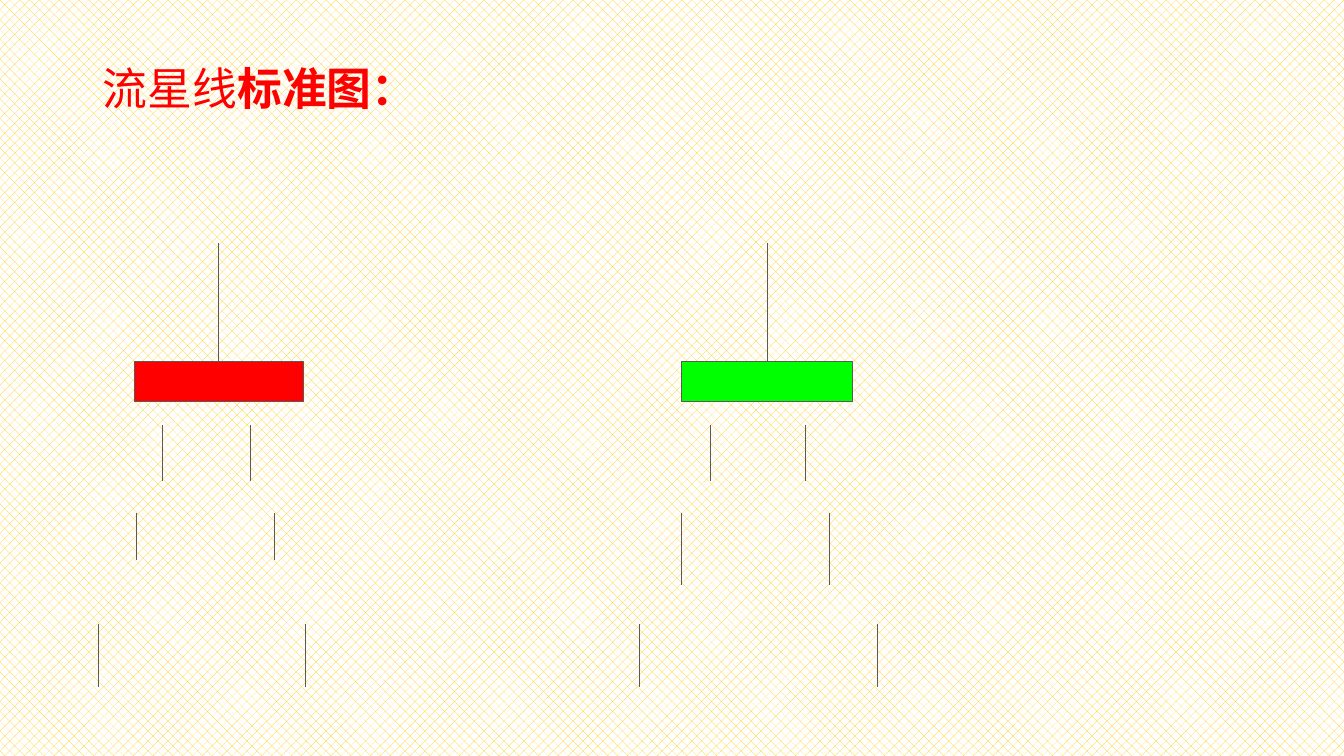
from lxml import etree
from pptx import Presentation
from pptx.dml.color import RGBColor
from pptx.enum.dml import MSO_PATTERN
from pptx.enum.shapes import MSO_CONNECTOR, MSO_SHAPE
from pptx.enum.text import MSO_ANCHOR
from pptx.oxml.ns import qn
from pptx.util import Pt

EMU_PER_PX = 9144
STRAIGHT = MSO_CONNECTOR.STRAIGHT
RECTANGLE = MSO_SHAPE.RECTANGLE
MIDDLE = MSO_ANCHOR.MIDDLE
DOTS = MSO_PATTERN.PERCENT_30
TOP_SIDE = 0
FONT = "Noto Sans CJK SC"
COLORS = {
    "red": "FF0000",
    "green": "00FF00",
    "line": "595959",
    "dots": "FFCA08",
    "paper": "FFFFFF",
}
BODY_TOP, BODY_HEIGHT = 359, 39
WICK_TOP, WICK_MIDDLE = 241, 296

CANDLES = [
    {
        "color": "red", "left": 133, "width": 168, "joint": 265,
        "ticks": [(422, 477, 161, 248), (509, 556, 135, 272), (619, 682, 98, 303)],
    },
    {
        "color": "green", "left": 676, "width": 170, "joint": 296,
        "ticks": [(422, 477, 705, 799), (509, 580, 676, 823), (619, 682, 634, 870)],
    },
]


def px(n):
    return round(n * EMU_PER_PX)


def rgb(name):
    return RGBColor.from_string(COLORS[name])


def style_line(line):
    line.color.rgb = rgb("line")
    line.width = Pt(0.75)


def paint_background(s):
    fill = s.background.fill
    fill.patterned()
    fill.pattern = DOTS
    fill.fore_color.rgb = rgb("dots")
    fill.back_color.rgb = rgb("paper")


def add_title(s):
    tf = s.shapes.add_textbox(px(92), px(40), px(1150), px(101)).text_frame
    tf.word_wrap = True
    tf.vertical_anchor = MIDDLE
    p = tf.paragraphs[0]
    p.line_spacing = 0.9
    for text, bold in (("流星线", False), ("标准图：", True)):
        r = p.add_run()
        r.text = text
        r.font.size = Pt(32)
        r.font.bold = bold
        r.font.name = FONT
        r.font.color.rgb = rgb("red")
        ea = etree.SubElement(r.font._element, qn("a:ea"))
        ea.set("typeface", FONT)


def add_body(s, left, width, color):
    sp = s.shapes.add_shape(RECTANGLE, px(left), px(BODY_TOP), px(width), px(BODY_HEIGHT))
    sp.shadow.inherit = False
    sp.fill.solid()
    sp.fill.fore_color.rgb = rgb(color)
    style_line(sp.line)
    return sp


def add_vertical(s, x, top, bottom):
    line = s.shapes.add_connector(STRAIGHT, px(x), px(top), px(x), px(bottom))
    style_line(line.line)
    etree.SubElement(line._element.spPr, qn("a:effectLst"))
    return line


def add_candle(s, color, left, width, joint, ticks):
    body = add_body(s, left, width, color)
    center = left + width // 2
    add_vertical(s, center, 265, 328)
    for top, bottom, *xs in ticks:
        for x in xs:
            add_vertical(s, x, top, bottom)
    add_vertical(s, center, joint, BODY_TOP).end_connect(body, TOP_SIDE)
    add_vertical(s, center, WICK_TOP, WICK_MIDDLE)


def main():
    prs = Presentation()
    prs.slide_width, prs.slide_height = px(1333), px(750)
    s = prs.slides.add_slide(prs.slide_layouts[6])
    paint_background(s)
    add_title(s)
    for candle in CANDLES:
        add_candle(s, **candle)
    prs.save("out.pptx")


if __name__ == "__main__":
    main()
